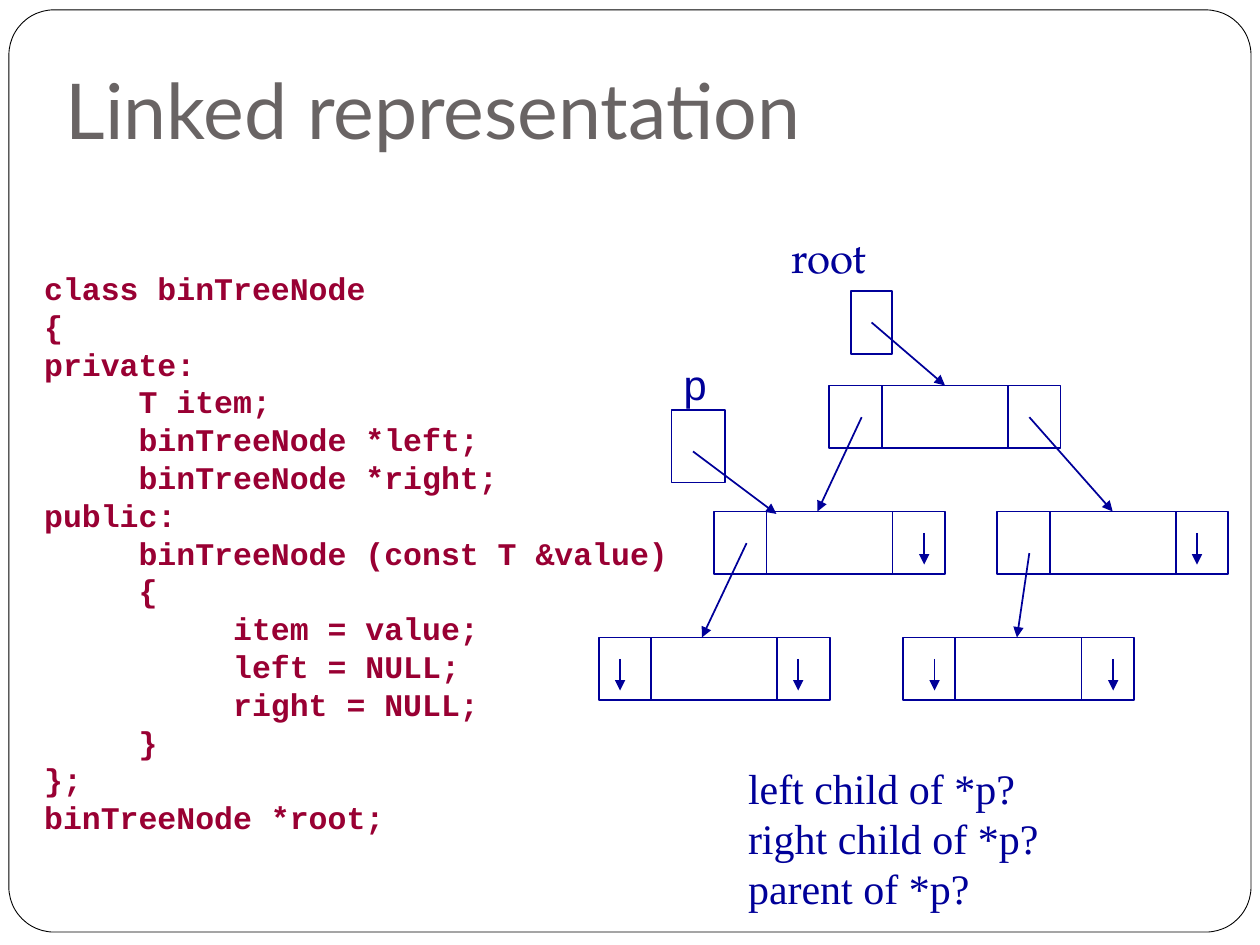
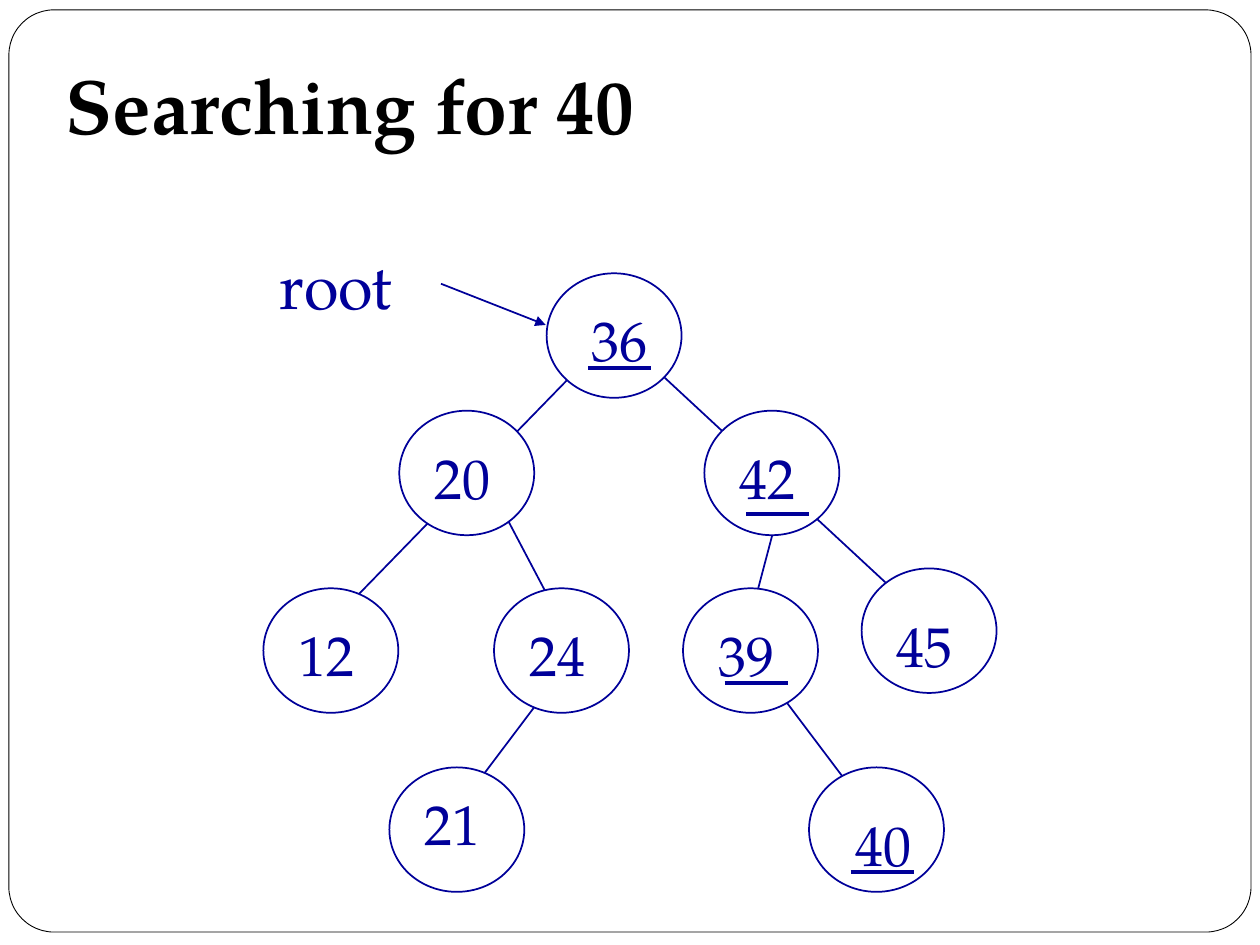
from lxml import etree
from pptx import Presentation
from pptx.dml.color import RGBColor
from pptx.enum.shapes import MSO_CONNECTOR, MSO_SHAPE
from pptx.enum.text import MSO_ANCHOR, MSO_AUTO_SIZE, PP_ALIGN
from pptx.oxml.ns import qn
from pptx.util import Cm, Pt

STRAIGHT = MSO_CONNECTOR.STRAIGHT
RECT, OVAL, ROUND = MSO_SHAPE.RECTANGLE, MSO_SHAPE.OVAL, MSO_SHAPE.ROUNDED_RECTANGLE
BOTTOM, LEFT = MSO_ANCHOR.BOTTOM, PP_ALIGN.LEFT
FIXED, GROW = MSO_AUTO_SIZE.NONE, MSO_AUTO_SIZE.SHAPE_TO_FIT_TEXT

BLUE, RED, GRAY, BLACK, WHITE = "000099", "990033", "696464", "000000", "FFFFFF"
SERIF, MONO, SANS, TIMES = "TeX Gyre Pagella", "Courier New", "Lato", "Times New Roman"

CODE = """class binTreeNode
{
private:
     T item;
     binTreeNode *left;
     binTreeNode *right;
public:
     binTreeNode (const T &value)
     {
          item = value;
          left = NULL;
          right = NULL;
     }
};
binTreeNode *root;"""
ASKS = "left child of *p?\nright child of *p?\nparent of *p?"

# Linked records: level tops, left edges with their level, pointer arrows
TOPS = [7.77, 10.31, 12.85]
CELLS = [(16.72, 0), (14.39, 1), (12.07, 2), (20.1, 1), (18.2, 2)]
LINKS = [(17.57, 6.5, 19.05, 7.77), (17.37, 8.41, 16.48, 10.31),
         (20.75, 8.41, 22.43, 10.31), (15.05, 10.95, 14.15, 12.85),
         (20.75, 11.15, 20.5, 12.85), (13.97, 9.1, 15.65, 10.36)]
NULLS = [(18.63, 1), (24.13, 1), (12.5, 2), (16.09, 2), (18.84, 2), (22.44, 2)]

# Search tree: value, left, top, and the offset of the value in its circle
NODES = [("36", 11.02, 5.51, 0.66, 0.53), ("20", 8.05, 8.28, 0.46, 0.53),
         ("42", 14.2, 8.28, 0.46, 0.53), ("45", 17.37, 11.46, 0.46, 0.74),
         ("12", 5.31, 11.86, 0.46, 0.53), ("24", 9.96, 11.86, 0.46, 0.53),
         ("39", 13.77, 11.86, 0.46, 0.53), ("40", 16.31, 15.47, 0.69, 0.74),
         ("21", 7.85, 15.47, 0.46, 0.33)]
EDGES = [(12.5, 6.78, 18.42, 12.27), (15.24, 13.34, 17.78, 16.71),
         (15.9, 9.53, 15.01, 12.9), (12.29, 6.78, 6.53, 12.7),
         (11.46, 13.34, 9.07, 16.51), (9.96, 9.96, 11.63, 13.13)]
MARKS = [(11.86, 7.42), (15.04, 10.36), (14.61, 13.77), (17.15, 17.58)]


def rgb(code):
    return RGBColor.from_string(code)


def cms(nums):
    return [Cm(num) for num in nums]


def style(frame, font, size, color, bold=False):
    for para in frame.paragraphs:
        for run in para.runs:
            run.font.name = font
            run.font.size = Pt(size)
            run.font.bold = bold
            run.font.color.rgb = rgb(color)


def shape(slide, kind, box, fill=None, color=BLUE, width=1):
    item = slide.shapes.add_shape(kind, *cms(box))
    item.shadow.inherit = False
    if fill:
        item.fill.solid()
        item.fill.fore_color.rgb = rgb(fill)
    else:
        item.fill.background()
    item.line.color.rgb = rgb(color)
    item.line.width = Pt(width)
    return item


def line(slide, ends, head=False, width=1):
    item = slide.shapes.add_connector(STRAIGHT, *cms(ends))
    item.line.color.rgb = rgb(BLUE)
    item.line.width = Pt(width)
    props = item.element.spPr
    if head:
        etree.SubElement(props.find(qn("a:ln")), qn("a:tailEnd"), type="triangle")
    etree.SubElement(props, qn("a:effectLst"))


def text(slide, words, box, font, size, color=BLUE, bold=False, wrap=False):
    frame = slide.shapes.add_textbox(*cms(box)).text_frame
    frame.word_wrap = wrap
    frame.auto_size = GROW
    frame.text = words
    for para in frame.paragraphs:
        para.line_spacing = Pt(1.2 * size)
    style(frame, font, size, color, bold)


def title(slide, words, box, font, color, bold=False):
    head = slide.shapes.title
    head.left, head.top, head.width, head.height = cms(box)
    frame = head.text_frame
    frame.auto_size = FIXED
    frame.vertical_anchor = BOTTOM
    frame.margin_bottom = Cm(0.25)
    frame.text = words
    frame.paragraphs[0].alignment = LEFT
    style(frame, font, 44, color, bold)


def border(slide):
    """Draw the rounded page border and move it to the shared layout."""
    item = shape(slide, ROUND, (0.18, 0.2, 25.04, 18.59), WHITE, BLACK, 0.5)
    item.adjustments[0] = 0.049
    slide.slide_layout.shapes.element.insert(2, item.element)


def record(slide, left, top):
    """Draw a node record: left pointer, item, right pointer."""
    shape(slide, RECT, (left, top, 4.66, 1.27))
    for shift in (1.06, 3.6):
        line(slide, (left + shift, top, left + shift, top + 1.27))


def linked(slide):
    title(slide, "Linked representation", (1.07, 1.14, 23.32, 2.24), SANS, GRAY)
    text(slide, CODE, (0.64, 5.3, 14.17, 11.68), MONO, 18, RED, True, True)
    for left, level in CELLS:
        record(slide, left, TOPS[level])
    shape(slide, RECT, (17.15, 5.87, 0.84, 1.27))
    text(slide, "root", (15.7, 4.54, 2.54, 1.27), SERIF, 24)
    shape(slide, RECT, (13.54, 8.26, 1.07, 1.47))
    text(slide, "p", (13.51, 7.11, 1.02, 1.27), MONO, 24)
    for ends in LINKS:
        line(slide, ends, True)
    for left, level in NULLS:
        top = TOPS[level] + 0.43
        line(slide, (left, top, left, top + 0.64), True)
    text(slide, ASKS, (14.83, 15.24, 7.5, 3.3), TIMES, 24, wrap=True)


def search(slide):
    title(slide, "Searching for 40", (1.07, 1.02, 23.65, 2.26), SERIF, BLACK, True)
    for ends in EDGES:
        line(slide, ends)
    for value, left, top, right, down in NODES:
        shape(slide, OVAL, (left, top, 2.72, 2.51), WHITE)
        text(slide, value, (left + right, top + down, 1.88, 1.6), SERIF, 32)
    text(slide, "root", (5.38, 4.85, 3.58, 1.78), SERIF, 36)
    line(slide, (8.89, 5.72, 11, 6.55), True)
    for left, top in MARKS:
        line(slide, (left, top, left + 1.27, top), width=2.25)


def main():
    deck = Presentation()
    deck.slide_width, deck.slide_height = cms((25.4, 19.05))
    layout = deck.slide_layouts[5]
    first, second = [deck.slides.add_slide(layout) for _ in range(2)]
    border(first)
    linked(first)
    search(second)
    deck.save("out.pptx")


if __name__ == "__main__":
    main()
